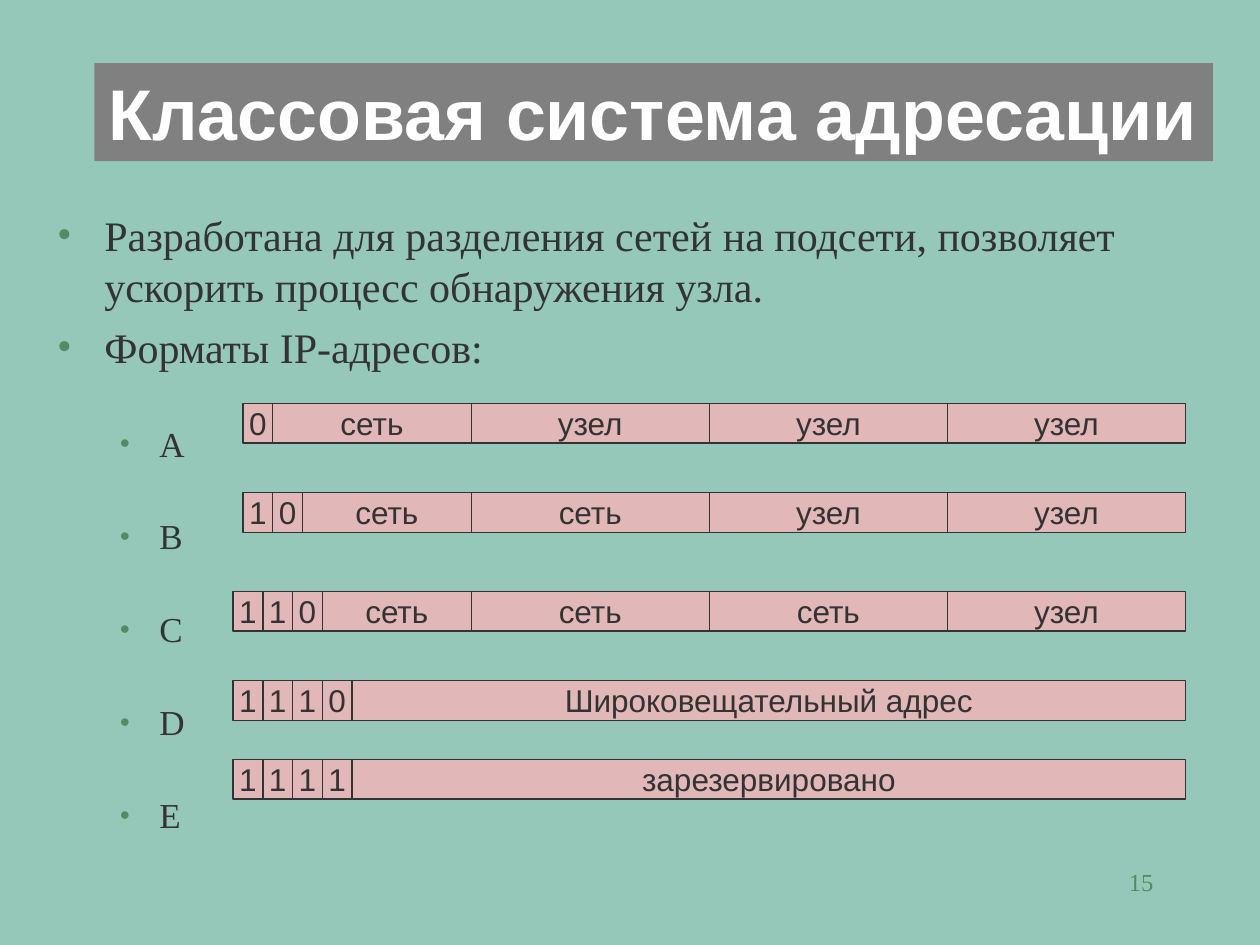
from lxml.etree import SubElement
from pptx import Presentation
from pptx.dml.color import RGBColor
from pptx.enum.shapes import MSO_SHAPE
from pptx.enum.text import MSO_ANCHOR, MSO_AUTO_SIZE, PP_ALIGN
from pptx.oxml.ns import qn
from pptx.util import Cm, Pt

INK, GREEN, PINK = "333333", "578963", "E1B7B7"
BIT_WIDTH, OCTET_WIDTH, ROW_HEIGHT = 0.6, 4.8, 0.8
SECOND_OCTET, RIGHT_EDGE = 9.5, 23.9

POINTS = [
    "Разработана для разделения сетей на подсети, позволяет ускорить процесс обнаружения узла.",
    "Форматы IP-адресов:",
]
# Class, left, top (cm), leading bits, fields after the bits
ADDRESS_CLASSES = [
    ("A", 4.9, 8.13, "0", ["сеть", "узел", "узел", "узел"]),
    ("B", 4.9, 9.93, "10", ["сеть", "сеть", "узел", "узел"]),
    ("C", 4.7, 11.92, "110", ["сеть", "сеть", "сеть", "узел"]),
    ("D", 4.7, 13.72, "1110", ["Широковещательный адрес"]),
    ("E", 4.7, 15.31, "1111", ["зарезервировано"]),
]


def paint(color_format, value):
    color_format.rgb = RGBColor.from_string(value)


def fill_with(fill, value):
    fill.solid()
    paint(fill.fore_color, value)


def style(paragraph, font_name, size, color, bold=False):
    for run in paragraph.runs:
        run.font.name = font_name
        run.font.size = Pt(size)
        run.font.bold = bold
        paint(run.font.color, color)


def place(shape, left, top, width, height):
    shape.left, shape.top = Cm(left), Cm(top)
    shape.width, shape.height = Cm(width), Cm(height)


def add_bullet(paragraph, symbol, margin, hanging, percent):
    properties = paragraph._p.get_or_add_pPr()
    properties.set("marL", str(Cm(margin)))
    properties.set("indent", str(-Cm(hanging)))
    bullet_color = SubElement(properties, qn("a:buClr"))
    SubElement(bullet_color, qn("a:srgbClr"), val=GREEN)
    SubElement(properties, qn("a:buSzPct"), val=str(percent * 1000))
    SubElement(properties, qn("a:buFont"), typeface="Times New Roman")
    SubElement(properties, qn("a:buChar"), char=symbol)


def write_title(title):
    place(title, 1.9, 1.27, 22.55, 1.98)
    fill_with(title.fill, "808080")
    frame = title.text_frame
    frame.text = "Классовая система адресации"
    frame.auto_size = MSO_AUTO_SIZE.NONE
    frame.vertical_anchor = MSO_ANCHOR.MIDDLE
    frame.paragraphs[0].alignment = PP_ALIGN.CENTER
    style(frame.paragraphs[0], "Arial", 41, "FFFFFF", bold=True)


def write_body(body):
    place(body, 0.9, 4.1, 22.86, 13.6)
    frame = body.text_frame
    frame.text = "\n".join(POINTS + [entry[0] for entry in ADDRESS_CLASSES])
    frame.auto_size = MSO_AUTO_SIZE.NONE
    frame.vertical_anchor = MSO_ANCHOR.TOP
    for index, paragraph in enumerate(frame.paragraphs):
        if index < len(POINTS):
            paragraph.space_before = Pt(6 if index else 0)
            add_bullet(paragraph, "•", 0.95, 0.95, 100)
            style(paragraph, "Times New Roman", 24, INK)
        else:
            paragraph.level = 1
            paragraph.line_spacing = 2.0
            paragraph.space_before = Pt(5)
            add_bullet(paragraph, "●", 2.06, 0.8, 50)
            style(paragraph, "Times New Roman", 20, INK)


def add_cell(slide, text, left, top, width):
    cell = slide.shapes.add_shape(
        MSO_SHAPE.RECTANGLE, Cm(left), Cm(top), Cm(width), Cm(ROW_HEIGHT))
    cell.shadow.inherit = False
    fill_with(cell.fill, PINK)
    paint(cell.line.color, INK)
    cell.line.width = Pt(0.75)
    frame = cell.text_frame
    frame.text = text
    frame.word_wrap = False
    frame.vertical_anchor = MSO_ANCHOR.MIDDLE
    frame.paragraphs[0].alignment = PP_ALIGN.CENTER
    style(frame.paragraphs[0], "Arial", 18, INK)


def add_address(slide, left, top, bits, fields):
    for index, bit in enumerate(bits):
        add_cell(slide, bit, left + index * BIT_WIDTH, top, BIT_WIDTH)
    # The first field fills what the bits leave over
    start = left + len(bits) * BIT_WIDTH
    end = SECOND_OCTET if len(fields) > 1 else RIGHT_EDGE
    add_cell(slide, fields[0], start, top, end - start)
    for index, field in enumerate(fields[1:]):
        add_cell(slide, field, SECOND_OCTET + index * OCTET_WIDTH, top, OCTET_WIDTH)


def add_page_number(slide, number):
    page = slide.shapes.add_textbox(Cm(18.2), Cm(17.35), Cm(5.3), Cm(1.27))
    page.text_frame.word_wrap = True
    page.text_frame.text = number
    page.text_frame.paragraphs[0].alignment = PP_ALIGN.RIGHT
    style(page.text_frame.paragraphs[0], "Times New Roman", 14, GREEN)


def main():
    deck = Presentation()
    deck.slide_width, deck.slide_height = Cm(25.4), Cm(19.05)
    slide = deck.slides.add_slide(deck.slide_layouts[1])
    fill_with(slide.background.fill, "96C8BA")

    # Heading and list
    write_title(slide.shapes.title)
    write_body(slide.placeholders[1])

    # Address layouts
    for _, left, top, bits, fields in ADDRESS_CLASSES:
        add_address(slide, left, top, bits, fields)

    add_page_number(slide, "15")
    deck.save("out.pptx")


if __name__ == "__main__":
    main()
